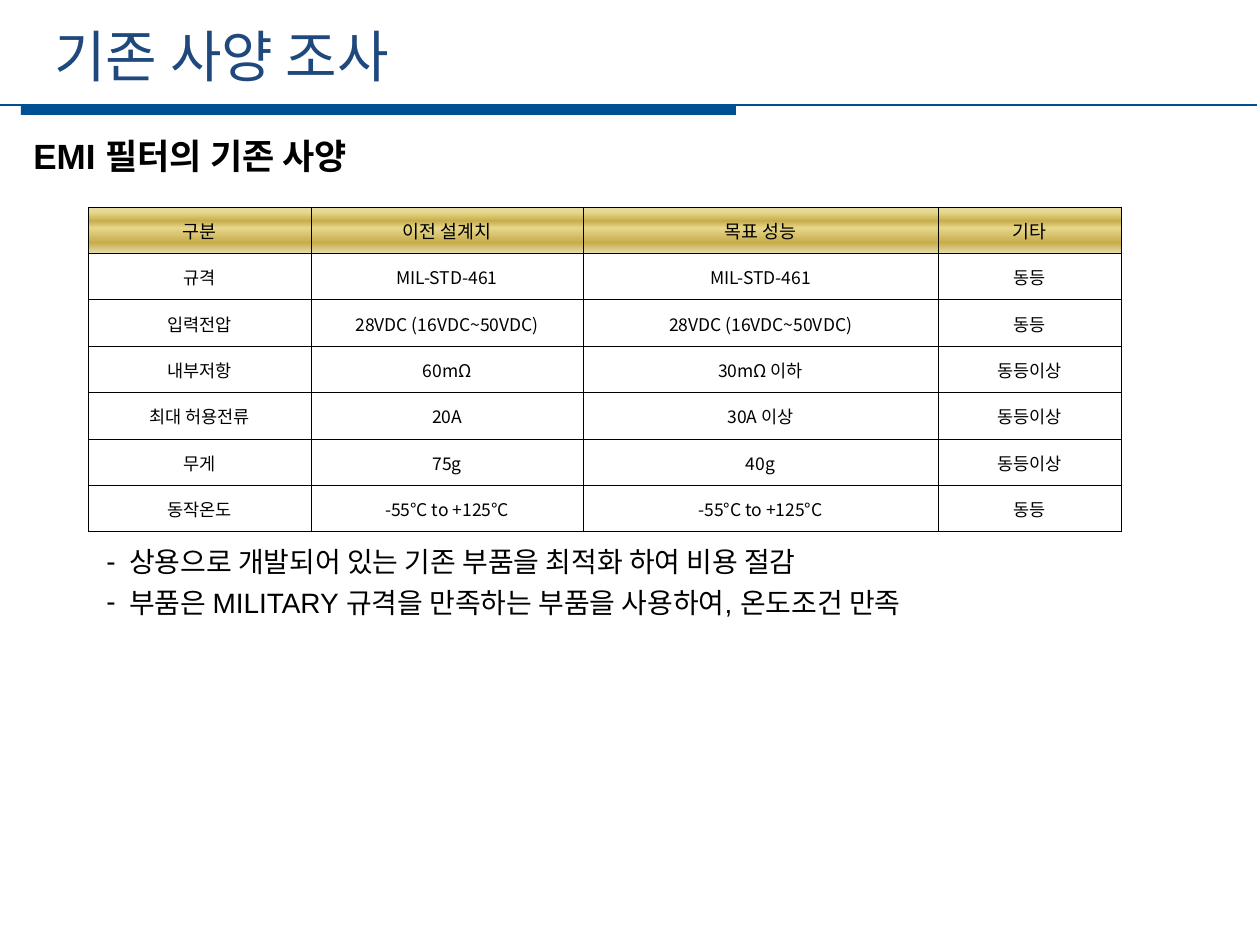
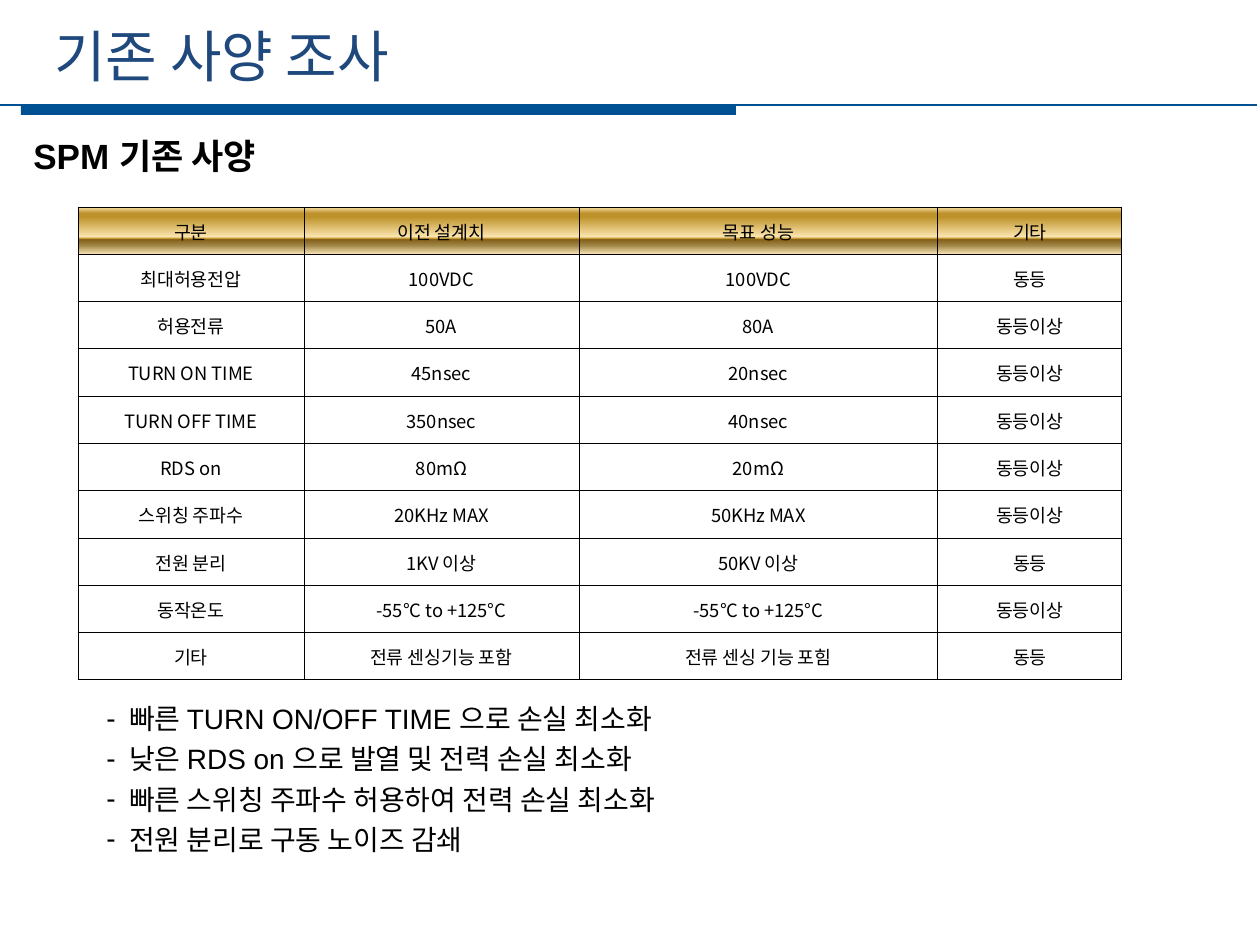
"""Build two slides that compare earlier and target specifications."""
from lxml import etree
from pptx import Presentation
from pptx.dml.color import RGBColor
from pptx.enum.shapes import MSO_CONNECTOR, MSO_SHAPE
from pptx.enum.text import MSO_ANCHOR, PP_ALIGN
from pptx.oxml.ns import qn
from pptx.util import Emu, Pt

RECTANGLE = MSO_SHAPE.RECTANGLE
STRAIGHT = MSO_CONNECTOR.STRAIGHT
MIDDLE = MSO_ANCHOR.MIDDLE
CENTER = PP_ALIGN.CENTER

NAVY = RGBColor(0x1F, 0x49, 0x7D)
BLUE = RGBColor(0x00, 0x50, 0x94)
BLACK = RGBColor(0x00, 0x00, 0x00)
LATIN, KOREAN = "Arial", "Noto Sans CJK KR"
LINE_PITCH = Pt(23)
HEADER_SIZE = 10.5

TITLE = "기존 사양 조사"
COLUMNS = ("구분", "이전 설계치", "목표 성능", "기타")
SAME, BETTER = "동등", "동등이상"
TEMPERATURE = "-55°C to +125°C"

SECTIONS = [
    {
        "heading": "EMI 필터의 기존 사양",
        "specs": [
            ("규격", "MIL-STD-461", "MIL-STD-461", SAME),
            ("입력전압", "28VDC (16VDC~50VDC)", "28VDC (16VDC~50VDC)", SAME),
            ("내부저항", "60mΩ", "30mΩ 이하", BETTER),
            ("최대 허용전류", "20A", "30A 이상", BETTER),
            ("무게", "75g", "40g", BETTER),
            ("동작온도", TEMPERATURE, TEMPERATURE, SAME),
        ],
        "spec_size": 10,
        "left": 88,
        "widths": (223, 272, 355, 183),
        "height": 325,
        "gold": [(0, "E6DCAC"), (12, "E6D78A"), (30, "C7AC4C"),
                 (45, "E6D78A"), (77, "C7AC4C"), (100, "E6DCAC")],
        "remarks": [
            "상용으로 개발되어 있는 기존 부품을 최적화 하여 비용 절감",
            "부품은 MILITARY 규격을 만족하는 부품을 사용하여, 온도조건 만족",
        ],
        "remarks_box": (78, 532, 1200, 135),
    },
    {
        "heading": "SPM 기존 사양",
        "specs": [
            ("최대허용전압", "100VDC", "100VDC", SAME),
            ("허용전류", "50A", "80A", BETTER),
            ("TURN ON TIME", "45nsec", "20nsec", BETTER),
            ("TURN OFF TIME", "350nsec", "40nsec", BETTER),
            ("RDS on", "80mΩ", "20mΩ", BETTER),
            ("스위칭 주파수", "20KHz MAX", "50KHz MAX", BETTER),
            ("전원 분리", "1KV 이상", "50KV 이상", SAME),
            ("동작온도", TEMPERATURE, TEMPERATURE, BETTER),
            ("기타", "전류 센싱기능 포함", "전류 센싱 기능 포힘", SAME),
        ],
        "spec_size": 10.5,
        "left": 78,
        "widths": (226, 275, 359, 184),
        "height": 473,
        "gold": [(0, "FBE4AE"), (13, "BD922A"), (21, "BD922A"), (63, "FBE4AE"),
                 (67, "BD922A"), (69, "835E17"), (82, "A28949"), (100, "FAE3B7")],
        "remarks": [
            "빠른 TURN ON/OFF TIME 으로 손실 최소화",
            "낮은 RDS on 으로 발열 및 전력 손실 최소화",
            "빠른 스위칭 주파수 허용하여 전력 손실 최소화",
            "전원 분리로 구동 노이즈 감쇄",
        ],
        "remarks_box": (78, 689, 1200, 175),
    },
]


def px(length):
    return Emu(round(length * 914400 / 126))


def add_child(parent, tag, **attributes):
    return etree.SubElement(parent, qn(tag), attributes)


def style_runs(paragraph, size, font, color=BLACK, bold=False):
    for run in paragraph.runs:
        run.font.size = Pt(size)
        run.font.name = font
        run.font.bold = bold
        run.font.color.rgb = color
        add_child(run.font._element, "a:ea", typeface=KOREAN)


def add_text(slide, box, lines, size, font, color=BLACK, bold=False, pitch=None):
    frame = slide.shapes.add_textbox(*map(px, box)).text_frame
    frame.word_wrap = True
    frame.text = "\n".join(lines)
    for paragraph in frame.paragraphs:
        paragraph.line_spacing = pitch
        style_runs(paragraph, size, font, color, bold)
    return frame


def add_title_band(slide):
    bar = slide.shapes.add_shape(RECTANGLE, *map(px, (21, 105, 715, 10)))
    bar.shadow.inherit = False
    bar.fill.solid()
    bar.fill.fore_color.rgb = BLUE
    bar.line.fill.background()
    rule = slide.shapes.add_connector(STRAIGHT, *map(px, (0, 105, 1257, 105)))
    rule.line.color.rgb = BLUE
    rule.line.width = Pt(1.25)
    add_child(rule._element.spPr, "a:effectLst")
    add_text(slide, (42, 15, 1129, 81), [TITLE], 32, KOREAN, NAVY)


def add_borders(cell):
    properties = cell._tc.get_or_add_tcPr()
    for side in ("a:lnL", "a:lnR", "a:lnT", "a:lnB"):
        border = add_child(properties, side, w=str(Pt(0.5)))
        fill = add_child(border, "a:solidFill")
        add_child(fill, "a:srgbClr", val=str(BLACK))


def fill_gold(cell, stops):
    gradient = add_child(cell._tc.get_or_add_tcPr(), "a:gradFill", rotWithShape="1")
    stop_list = add_child(gradient, "a:gsLst")
    for percent, color in stops:
        stop = add_child(stop_list, "a:gs", pos=str(percent * 1000))
        add_child(stop, "a:srgbClr", val=color)
    add_child(gradient, "a:lin", ang=str(90 * 60000), scaled="0")


def add_spec_table(slide, section):
    rows = [COLUMNS] + section["specs"]
    widths, height = section["widths"], section["height"]
    box = (section["left"], 207, sum(widths), height)
    table = slide.shapes.add_table(len(rows), len(COLUMNS), *map(px, box)).table
    table.first_row = table.horz_banding = False
    for column, width in zip(table.columns, widths):
        column.width = px(width)
    for r, values in enumerate(rows):
        table.rows[r].height = px(height / len(rows))
        for c, value in enumerate(values):
            cell = table.cell(r, c)
            cell.text = value
            cell.vertical_anchor = MIDDLE
            cell.margin_left = cell.margin_right = cell.margin_top = px(1)
            cell.margin_bottom = 0
            paragraph = cell.text_frame.paragraphs[0]
            paragraph.alignment = CENTER
            style_runs(paragraph, section["spec_size"] if r else HEADER_SIZE, KOREAN)
            add_borders(cell)
            if r:
                cell.fill.background()
            else:
                fill_gold(cell, section["gold"])


def add_remarks(slide, section):
    frame = add_text(slide, section["remarks_box"], section["remarks"], 16, LATIN,
                     pitch=LINE_PITCH)
    for paragraph in frame.paragraphs:
        properties = paragraph._p.get_or_add_pPr()
        properties.set("marL", str(px(39)))
        properties.set("indent", str(px(-23)))
        add_child(properties, "a:buFont", typeface=LATIN)
        add_child(properties, "a:buChar", char="-")


def main():
    deck = Presentation()
    deck.slide_width, deck.slide_height = px(1260), px(945)
    for section in SECTIONS:
        slide = deck.slides.add_slide(deck.slide_layouts[6])
        add_title_band(slide)
        add_text(slide, (21, 130, 1200, 53), [section["heading"]], 20, LATIN,
                 bold=True, pitch=LINE_PITCH)
        add_spec_table(slide, section)
        add_remarks(slide, section)
    deck.save("out.pptx")


if __name__ == "__main__":
    main()
